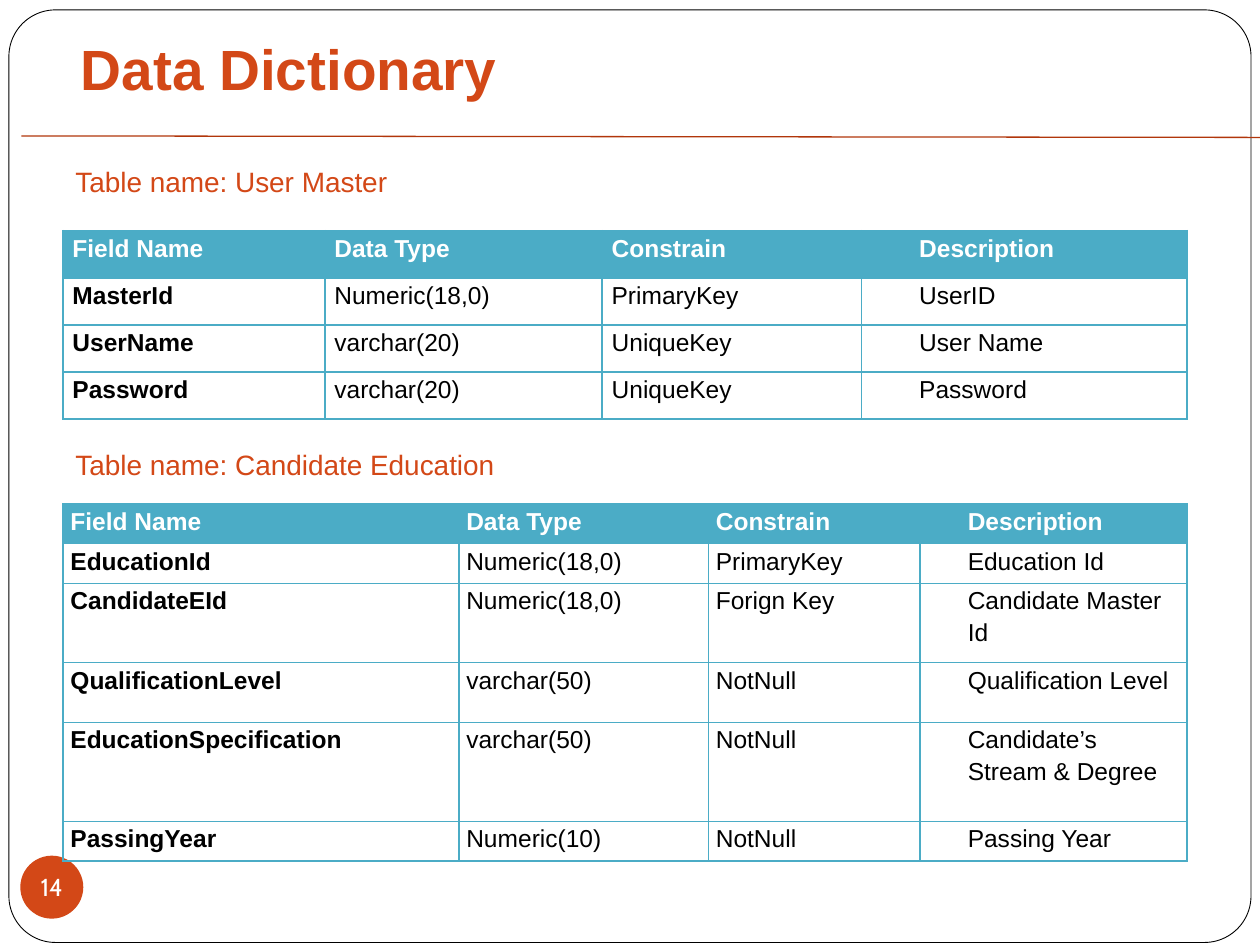
from dataclasses import dataclass

from lxml import etree
from pptx import Presentation
from pptx import util as u
from pptx.dml.color import RGBColor
from pptx.enum import shapes, text
from pptx.oxml import ns

COLORS = {
    "paper": "FFFFFF",
    "ink": "000000",
    "accent": "D34817",
    "rule": "B1360B",
    "grid": "4BACC6",
}
LEFT = 1.27
GAP_COLUMN = 3  # narrow column without text, open towards the description


@dataclass
class DataTable:
    name: str
    caption_top: float
    top: float
    inset: float
    columns: list[float]
    heights: list[float]
    fields: list[tuple[str, str, str, str]]


HEADER = ("Field Name", "Data Type", "Constrain", "Description")
TABLES = [
    DataTable(
        "User Master", 3.18, 4.65, 0.19,
        [5.28, 5.59, 5.23, 0.97, 5.59], [0.95] * 4,
        [
            ("MasterId", "Numeric(18,0)", "PrimaryKey", "UserID"),
            ("UserName", "varchar(20)", "UniqueKey", "User Name"),
            ("Password", "varchar(20)", "UniqueKey", "Password"),
        ],
    ),
    DataTable(
        "Candidate Education", 8.89, 10.16, 0.15,
        [7.98, 5.03, 4.27, 0.81, 4.57], [0.8, 0.8, 1.6, 1.2, 2.0, 0.8],
        [
            ("EducationId", "Numeric(18,0)", "PrimaryKey", "Education Id"),
            ("CandidateEId", "Numeric(18,0)", "Forign Key", "Candidate Master Id"),
            ("QualificationLevel", "varchar(50)", "NotNull", "Qualification Level"),
            ("EducationSpecification", "varchar(50)", "NotNull",
             "Candidate’s Stream & Degree"),
            ("PassingYear", "Numeric(10)", "NotNull", "Passing Year"),
        ],
    ),
]


def rgb(color: str) -> RGBColor:
    return RGBColor.from_string(COLORS[color])


def add_run(paragraph, words: str, size: float, color: str,
            bold: bool = False, font: str = "Arial") -> None:
    run = paragraph.add_run()
    run.text = words
    run.font.size = u.Pt(size)
    run.font.name = font
    run.font.bold = bold
    run.font.color.rgb = rgb(color)


def add_shape(slide, kind, left: float, top: float, width: float, height: float,
              fill: str):
    shape = slide.shapes.add_shape(
        kind, u.Cm(left), u.Cm(top), u.Cm(width), u.Cm(height))
    shape.shadow.inherit = False
    shape.fill.solid()
    shape.fill.fore_color.rgb = rgb(fill)
    return shape


def add_label(slide, left: float, top: float, width: float, height: float):
    frame = slide.shapes.add_textbox(
        u.Cm(left), u.Cm(top), u.Cm(width), u.Cm(height)).text_frame
    frame.word_wrap = True
    return frame


def add_frame(slide) -> None:
    frame = add_shape(slide, shapes.MSO_SHAPE.ROUNDED_RECTANGLE,
                      0.18, 0.2, 25.04, 18.8, "paper")
    frame.adjustments[0] = 0.05
    frame.line.color.rgb = rgb("ink")
    frame.line.width = u.Pt(0.5)


def add_title(slide) -> None:
    title = add_label(slide, 0.43, 0.69, 23.7, 2.0)
    title.margin_left, title.margin_top = u.Cm(1.2), 0
    add_run(title.paragraphs[0], "Data Dictionary", 32.4, "accent", bold=True)


def add_page_number(slide) -> None:
    badge = add_shape(slide, shapes.MSO_SHAPE.OVAL, 0.41, 17.25, 1.27, 1.27, "accent")
    badge.line.fill.background()
    frame = badge.text_frame
    frame.margin_left = frame.margin_right = 0
    frame.margin_top = frame.margin_bottom = 0
    frame.word_wrap = False
    frame.vertical_anchor = text.MSO_ANCHOR.MIDDLE
    number = frame.paragraphs[0]
    number.alignment = text.PP_ALIGN.CENTER
    add_run(number, "14", 14, "paper", font="Cabin")


def add_rule(slide) -> None:
    rule = slide.shapes.add_connector(
        shapes.MSO_CONNECTOR.STRAIGHT, u.Cm(0.43), u.Cm(2.74), u.Cm(25.4), u.Cm(2.77))
    rule.line.color.rgb = rgb("rule")
    rule.line.width = u.Pt(0.75)
    etree.SubElement(rule._element.spPr, ns.qn("a:effectLst"))


def set_borders(cell, open_sides: str) -> None:
    """Draw a grid line on each side of the cell except the open ones."""
    properties = cell._tc.get_or_add_tcPr()
    for side in "LRTB":
        line = etree.SubElement(properties, ns.qn(f"a:ln{side}"), w=str(u.Pt(1)))
        if side in open_sides:
            etree.SubElement(line, ns.qn("a:noFill"))
        else:
            fill = etree.SubElement(line, ns.qn("a:solidFill"))
            etree.SubElement(fill, ns.qn("a:srgbClr"), val=COLORS["grid"])


def fill_cell(cell, words: str, column: int, is_header: bool, inset: float) -> None:
    set_borders(cell, {GAP_COLUMN: "R", GAP_COLUMN + 1: "L"}.get(column, ""))
    if is_header:
        cell.fill.solid()
        cell.fill.fore_color.rgb = rgb("grid")
    else:
        cell.fill.background()
    cell.margin_left = cell.margin_right = u.Cm(inset)
    cell.margin_top = cell.margin_bottom = 0
    paragraph = cell.text_frame.paragraphs[0]
    paragraph.line_spacing = 1.15
    if words:
        add_run(paragraph, words, 14, "paper" if is_header else "ink",
                bold=is_header or column == 0)
    else:
        etree.SubElement(paragraph._p, ns.qn("a:endParaRPr"), sz="1400")


def add_data_table(slide, data: DataTable) -> None:
    rows = [HEADER, *data.fields]
    table = slide.shapes.add_table(
        len(rows), len(data.columns), u.Cm(LEFT), u.Cm(data.top),
        u.Cm(sum(data.columns)), u.Cm(sum(data.heights))).table
    table.first_row = table.horz_banding = False
    for column, width in zip(table.columns, data.columns):
        column.width = u.Cm(width)
    for row, height in zip(table.rows, data.heights):
        row.height = u.Cm(height)
    for r, entry in enumerate(rows):
        cells = [*entry[:GAP_COLUMN], "", *entry[GAP_COLUMN:]]
        for c, words in enumerate(cells):
            fill_cell(table.cell(r, c), words, c, r == 0, data.inset)


def add_caption(slide, data: DataTable) -> None:
    caption = add_label(slide, LEFT, data.caption_top, 22.02, 0.94)
    caption.vertical_anchor = text.MSO_ANCHOR.MIDDLE
    add_run(caption.paragraphs[0], f"Table name: {data.name}", 16, "accent")


def main() -> None:
    deck = Presentation()
    deck.slide_width, deck.slide_height = u.Cm(25.4), u.Cm(19.05)
    slide = deck.slides.add_slide(deck.slide_layouts[6])
    add_frame(slide)
    add_title(slide)
    add_page_number(slide)
    for data in TABLES:
        add_data_table(slide, data)
    for data in TABLES:
        add_caption(slide, data)
    add_rule(slide)
    deck.save("out.pptx")


if __name__ == "__main__":
    main()
